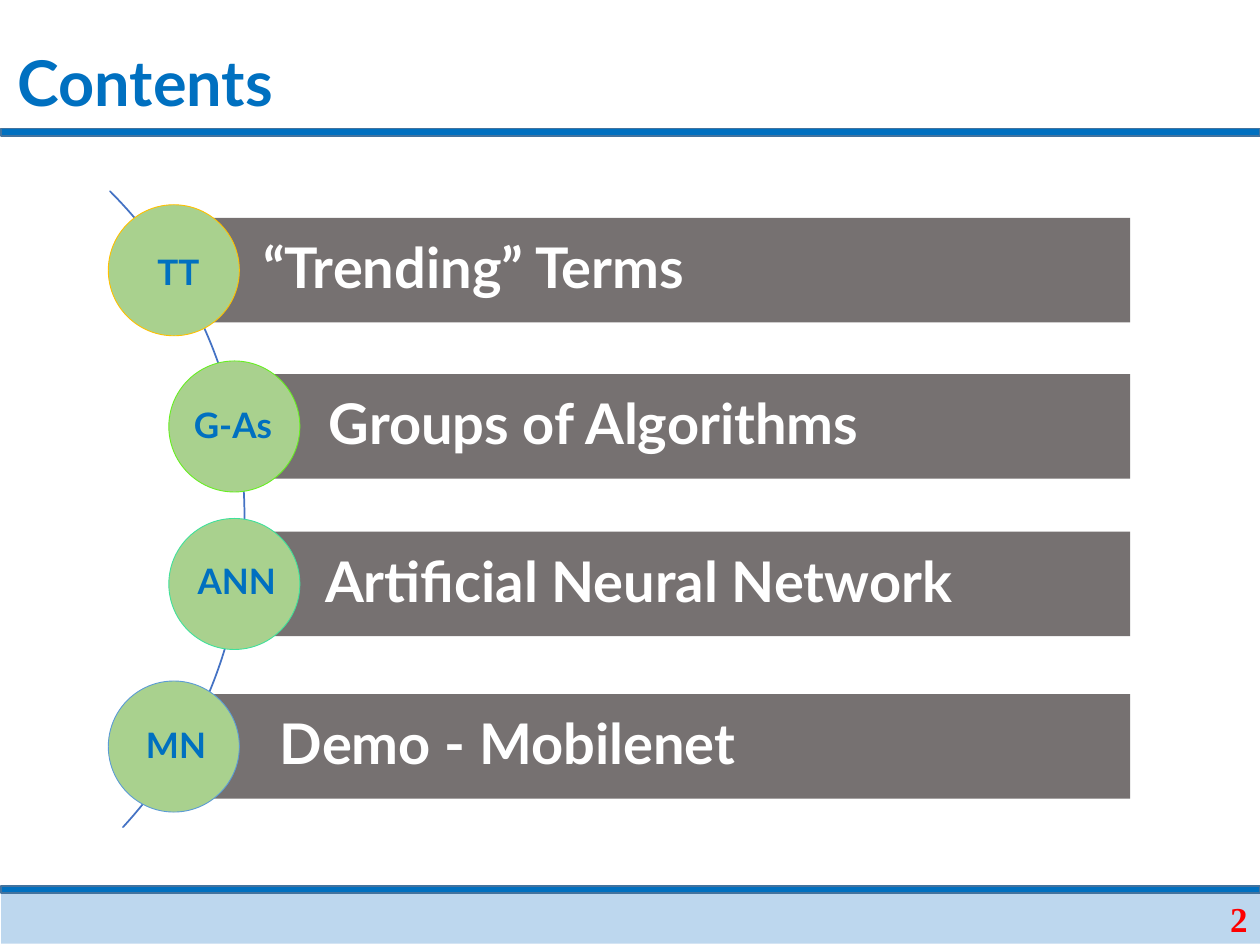
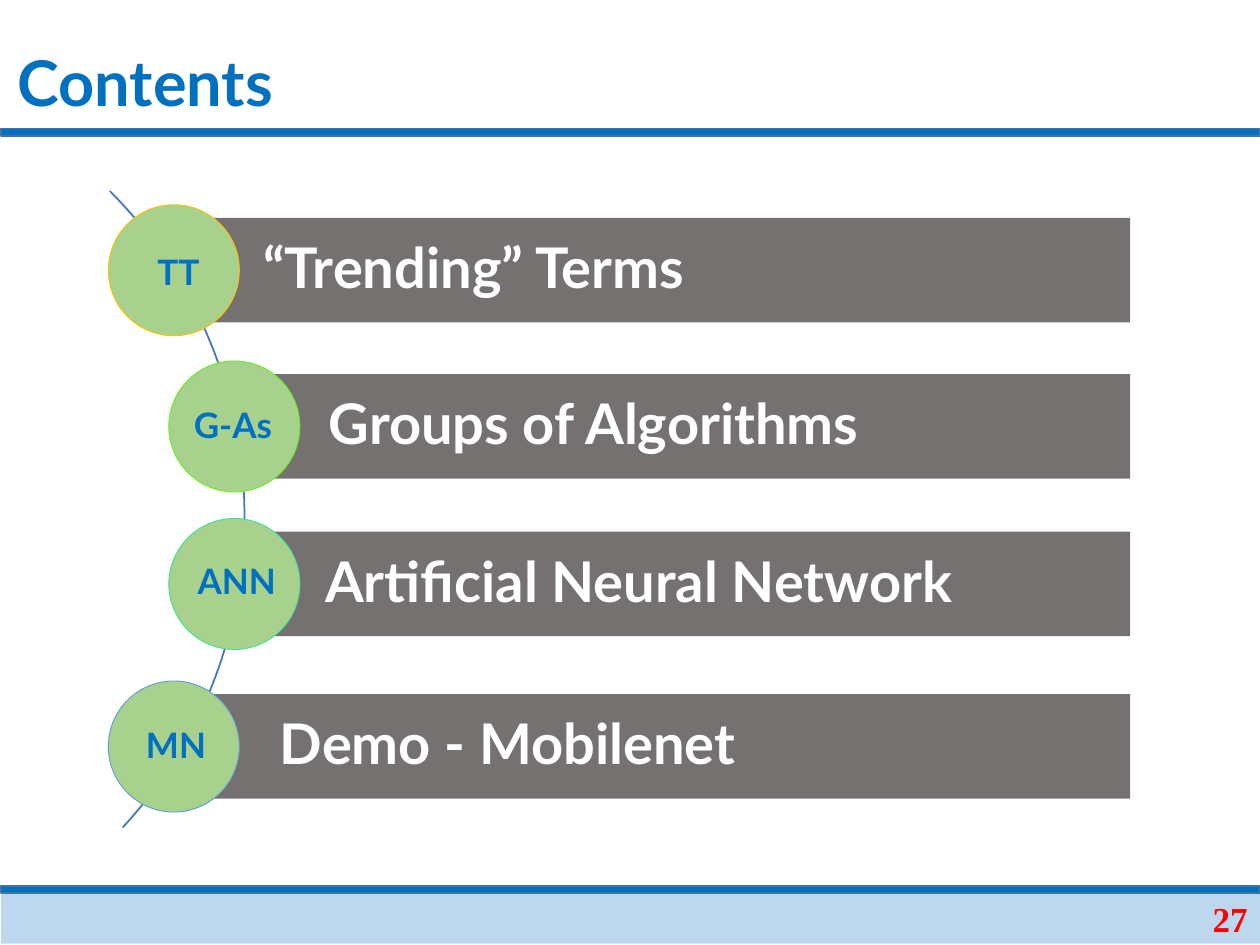
from dataclasses import dataclass

from pptx import Presentation
from pptx.dml.color import RGBColor
from pptx.enum.shapes import MSO_SHAPE as SHAPE
from pptx.enum.text import MSO_ANCHOR as ANCHOR, MSO_AUTO_SIZE as AUTO, PP_ALIGN as ALIGN
from pptx.util import Inches, Pt


@dataclass(frozen=True)
class Theme:
    blue: str = "0070C0"
    rule_edge: str = "43739E"
    footer: str = "BDD7EE"
    bar: str = "767171"
    circle: str = "A9D18E"
    arc: str = "4472C4"
    white: str = "FFFFFF"
    red: str = "FF0000"
    font: str = "Lato"
    number_font: str = "Times New Roman"
    title_size: int = 36
    bar_size: int = 32
    label_size: int = 20


@dataclass(frozen=True)
class Topic:
    name: str
    code: str
    top: float
    bar_left: float
    text_left: float
    circle_left: float
    label_at: tuple
    edge: str


COLS, ROWS = 100, 75
BAR_RIGHT, BAR_HEIGHT, CIRCLE = 89.7, 8.3, 10.4
TOPICS = [
    Topic("“Trending” Terms", "TT", 17.3, 11.7, 20.9, 8.6, (11.5, 19.4, 5.4), "FFC000"),
    Topic("Groups of Algorithms", "G-As", 29.7, 19.5, 26.1, 13.4, (14.4, 31.5, 8.4), "67EF21"),
    Topic("Artificial Neural Network", "ANN", 42.2, 17.5, 25.8, 13.4, (14.7, 43.9, 8.4), "3FE19B"),
    Topic("Demo - Mobilenet", "MN", 55.1, 13.9, 22.2, 8.6, (10.6, 56.9, 6.9), "5B9BD5"),
]


class Deck:
    def __init__(self, theme):
        self.theme = theme
        self.prs = Presentation()
        self.prs.slide_width, self.prs.slide_height = Inches(10), Inches(7.5)
        self.s = None

    def x(self, cols):
        return int(self.prs.slide_width * cols / COLS)

    def y(self, rows):
        return int(self.prs.slide_height * rows / ROWS)

    def box(self, left, top, width, height):
        return self.x(left), self.y(top), self.x(width), self.y(height)

    def text(self, sp, words, size, color, font=None, align=ALIGN.LEFT):
        p = sp.text_frame.paragraphs[0]
        p.text, p.alignment = words, align
        r = p.runs[0]
        r.font.name, r.font.size, r.font.bold = font or self.theme.font, Pt(size), True
        r.font.color.rgb = RGBColor.from_string(color)
        return p

    def shape(self, kind, at, fill=None, line=None, weight=1):
        sp = self.s.shapes.add_shape(kind, *self.box(*at))
        sp.shadow.inherit = False
        if fill:
            sp.fill.solid()
            sp.fill.fore_color.rgb = RGBColor.from_string(fill)
        else:
            sp.fill.background()
        if line:
            sp.line.color.rgb = RGBColor.from_string(line)
            sp.line.width = Pt(weight)
        else:
            sp.line.fill.background()
        return sp

    def title(self, words):
        t = self.theme
        self.s = self.prs.slides.add_slide(self.prs.slide_layouts[5])
        sp = self.s.shapes.title
        sp.left, sp.top, sp.width, sp.height = self.box(0.4, 2.5, 82.5, 8.7)
        tf = sp.text_frame
        tf.vertical_anchor, tf.auto_size = ANCHOR.MIDDLE, AUTO.NONE
        self.text(sp, words, t.title_size, t.blue).line_spacing = 0.9

    def arc(self):
        sp = self.shape(SHAPE.BLOCK_ARC, (-53.5, 4.5, 72.9, 72.9), line=self.theme.arc)
        for i, value in enumerate((189, 25.59, 0)):
            sp.adjustments[i] = value

    def bar(self, topic):
        t = self.theme
        at = (topic.bar_left, topic.top, BAR_RIGHT - topic.bar_left, BAR_HEIGHT)
        sp = self.shape(SHAPE.RECTANGLE, at, t.bar)
        tf = sp.text_frame
        tf.vertical_anchor = ANCHOR.MIDDLE
        tf.margin_left = self.x(topic.text_left - topic.bar_left)
        tf.margin_top = tf.margin_right = tf.margin_bottom = self.x(0.9)
        self.text(sp, topic.name, t.bar_size, t.white).line_spacing = 0.9

    def circle(self, topic):
        top = topic.top - (CIRCLE - BAR_HEIGHT) / 2
        at = (topic.circle_left, top, CIRCLE, CIRCLE)
        self.shape(SHAPE.OVAL, at, self.theme.circle, topic.edge, 0.5)

    def label(self, topic):
        t = self.theme
        sp = self.s.shapes.add_textbox(*self.box(*topic.label_at, 4.4))
        sp.text_frame.word_wrap = False
        sp.text_frame.auto_size = AUTO.SHAPE_TO_FIT_TEXT
        self.text(sp, topic.code, t.label_size, t.blue)

    def bands(self, number):
        t = self.theme
        sp = self.shape(SHAPE.RECTANGLE, (0.1, 70.9, 99.9, 4), t.footer)
        self.text(sp, number, t.label_size, t.red, t.number_font, ALIGN.RIGHT)
        for top in (70.3, 10.2):
            self.shape(SHAPE.RECTANGLE, (0.1, top, 99.9, 0.6), t.blue, t.rule_edge)

    def contents(self, number):
        self.title("Contents")
        self.arc()
        for topic in TOPICS:
            self.bar(topic)
            self.circle(topic)
        for topic in TOPICS:
            self.label(topic)
        self.bands(number)


def main():
    deck = Deck(Theme())
    for number in ("2", "27"):
        deck.contents(number)
    deck.prs.save("out.pptx")


if __name__ == "__main__":
    main()
